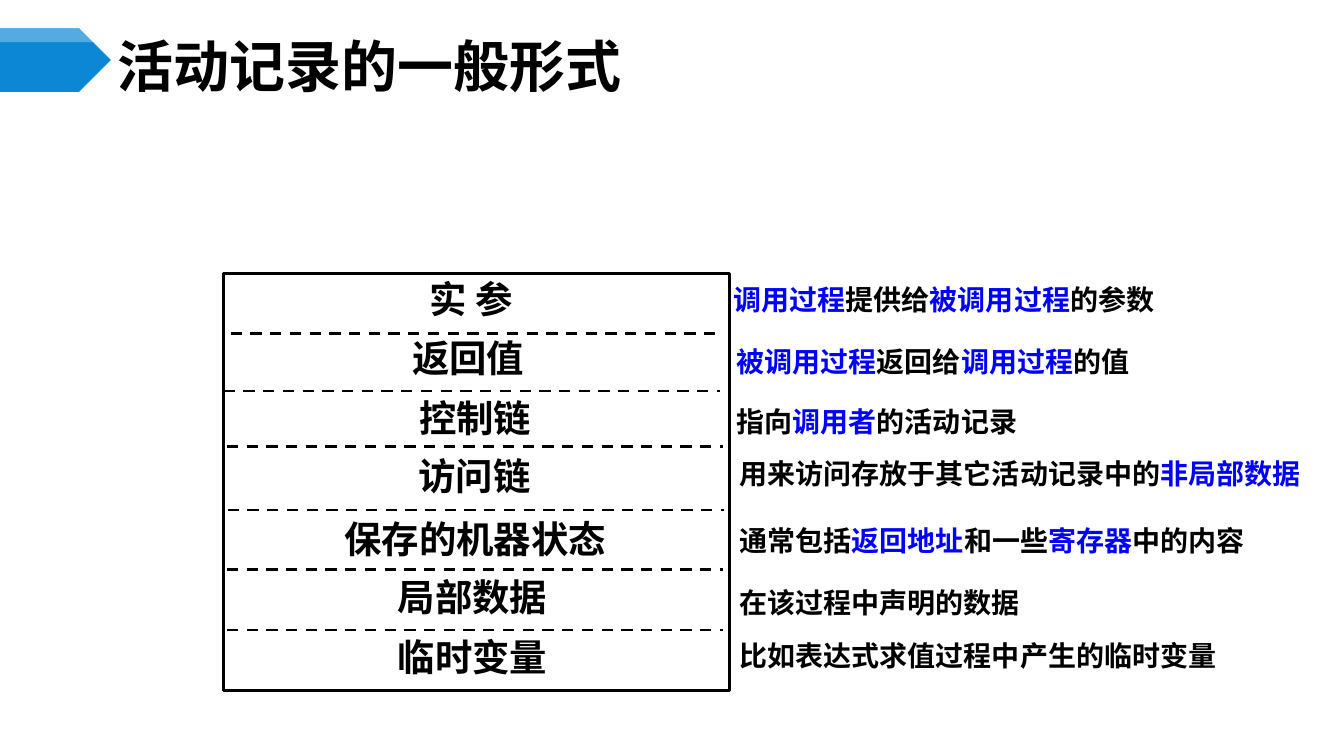
from lxml.etree import SubElement
from pptx import Presentation
from pptx.dml.color import RGBColor
from pptx.enum.dml import MSO_LINE
from pptx.enum.shapes import MSO_CONNECTOR, MSO_SHAPE
from pptx.enum.text import MSO_ANCHOR, MSO_AUTO_SIZE, PP_ALIGN
from pptx.oxml.ns import qn
from pptx.util import Pt

FONT = "Noto Sans CJK SC"
COLORS = {"text": "000000", "key": "0000FF", "banner": "0B87D6", "sheen": "FFFFFF"}

# Field, label (x, y), and note (x, y, width), all measured from the frame's corner.
# Every second part of a note, starting with the second, is a key term.
FIELDS = [
    ("实 参", (7.2, -6.5), (357.1, 2.9, 319.7), ["", "调用过程", "提供给", "被调用过程", "的参数"]),
    ("返回值", (5, 36), (359.3, 47.5, 302.4), ["", "被调用过程", "返回给", "调用过程", "的值"]),
    ("控制链", (10, 78.5), (359.3, 90, 297.4), ["指向", "调用者", "的活动记录"]),
    ("访问链", (9.4, 120.2), (361.4, 127.4, 438.5), ["用来访问存放于其它活动记录中的", "非局部数据"]),
    ("保存的机器状态", (10, 164.9), (361.4, 175, 403.2),
     ["通常包括", "返回地址", "和一些", "寄存器", "中的内容"]),
    ("局部数据", (8, 206.6), (361.4, 219.6, 234.7), ["在该过程中声明的数据"]),
    ("临时变量", (8, 249.1), (361.4, 257.8, 367.9), ["比如表达式求值过程中产生的临时变量"]),
]
# Left end, height and length of each dashed divider, measured from the frame's corner.
DIVIDERS = [(5, 43.2, 351.4), (0, 84.2, 354.2), (2.2, 123.8, 354.2),
            (2.9, 169.2, 354.2), (2.2, 211.7, 354.2), (2.2, 254.9, 354.2)]


def rgb(name):
    return RGBColor.from_string(COLORS[name])


def style(paragraph, size):
    font = paragraph.font
    font.size, font.bold, font.name = Pt(size), True, FONT
    font.color.rgb = rgb("text")
    properties = paragraph._p.pPr.find(qn("a:defRPr"))
    SubElement(properties, qn("a:ea"), typeface=FONT)


def add_text(slide, x, y, width, height, parts, size, top=3.6, align=PP_ALIGN.LEFT):
    """Place one line of text whose odd-indexed parts are key terms."""
    frame = slide.shapes.add_textbox(Pt(x), Pt(y), Pt(width), Pt(height)).text_frame
    frame.word_wrap = True
    frame.margin_top = Pt(top)
    paragraph = frame.paragraphs[0]
    paragraph.alignment = align
    style(paragraph, size)
    for index, part in enumerate(parts):
        if part:
            run = paragraph.add_run()
            run.text = part
            if index % 2:
                run.font.color.rgb = rgb("key")


def add_pentagon(slide, x, y, width, height, color):
    pentagon = slide.shapes.add_shape(MSO_SHAPE.PENTAGON, Pt(x), Pt(y), Pt(width), Pt(height))
    pentagon.shadow.inherit = False
    pentagon.fill.solid()
    pentagon.fill.fore_color.rgb = rgb(color)
    pentagon.line.fill.background()
    return pentagon


def add_heading(slide, x, y, width, height):
    banner_width = 79.2
    add_pentagon(slide, x, y, banner_width, height, "banner")
    sheen = add_pentagon(slide, x, y + 0.5, banner_width, 9.4, "sheen")
    fill_color = sheen._element.spPr.find(qn("a:solidFill"))[0]
    SubElement(fill_color, qn("a:alpha"), val="30000")

    title = slide.shapes.title
    title.left, title.top = Pt(x + banner_width), Pt(y + 7.9)
    title.width, title.height = Pt(width - banner_width), Pt(37.4)
    frame = title.text_frame
    frame.text = "活动记录的一般形式"
    frame.auto_size = MSO_AUTO_SIZE.NONE
    frame.vertical_anchor = MSO_ANCHOR.MIDDLE
    frame.margin_left = frame.margin_right = Pt(5)
    frame.margin_top = frame.margin_bottom = Pt(2.9)
    paragraph = frame.paragraphs[0]
    paragraph.alignment = PP_ALIGN.LEFT
    style(paragraph, 40)


def add_divider(slide, x, y, length):
    divider = slide.shapes.add_connector(
        MSO_CONNECTOR.STRAIGHT, Pt(x), Pt(y), Pt(x + length), Pt(y))
    divider.line.color.rgb = rgb("text")
    divider.line.width = Pt(2)
    divider.line.dash_style = MSO_LINE.DASH
    SubElement(divider._element.spPr, qn("a:effectLst"))


def add_activation_record(slide, x, y, width, height):
    record = slide.shapes.add_shape(MSO_SHAPE.RECTANGLE, Pt(x), Pt(y), Pt(width), Pt(height))
    record.shadow.inherit = False
    record.fill.background()
    record.line.color.rgb = rgb("text")
    record.line.width = Pt(2)
    for dx, dy, length in DIVIDERS:
        add_divider(slide, x + dx, y + dy, length)
    for field, (label_x, label_y), (note_x, note_y, note_width), note in FIELDS:
        add_text(slide, x + label_x, y + label_y, 339.4, 51.1, [field], 26.7,
                 top=8.6, align=PP_ALIGN.CENTER)
        add_text(slide, x + note_x, y + note_y, note_width, 31.7, note, 20)


def main():
    deck = Presentation()
    deck.slide_width, deck.slide_height = Pt(960), Pt(540)
    slide = deck.slides.add_slide(deck.slide_layouts[5])
    add_heading(slide, 0, 20.2, 911.5, 45.4)
    add_activation_record(slide, 159.8, 195.1, 361.4, 298.1)
    deck.save("out.pptx")


if __name__ == "__main__":
    main()
